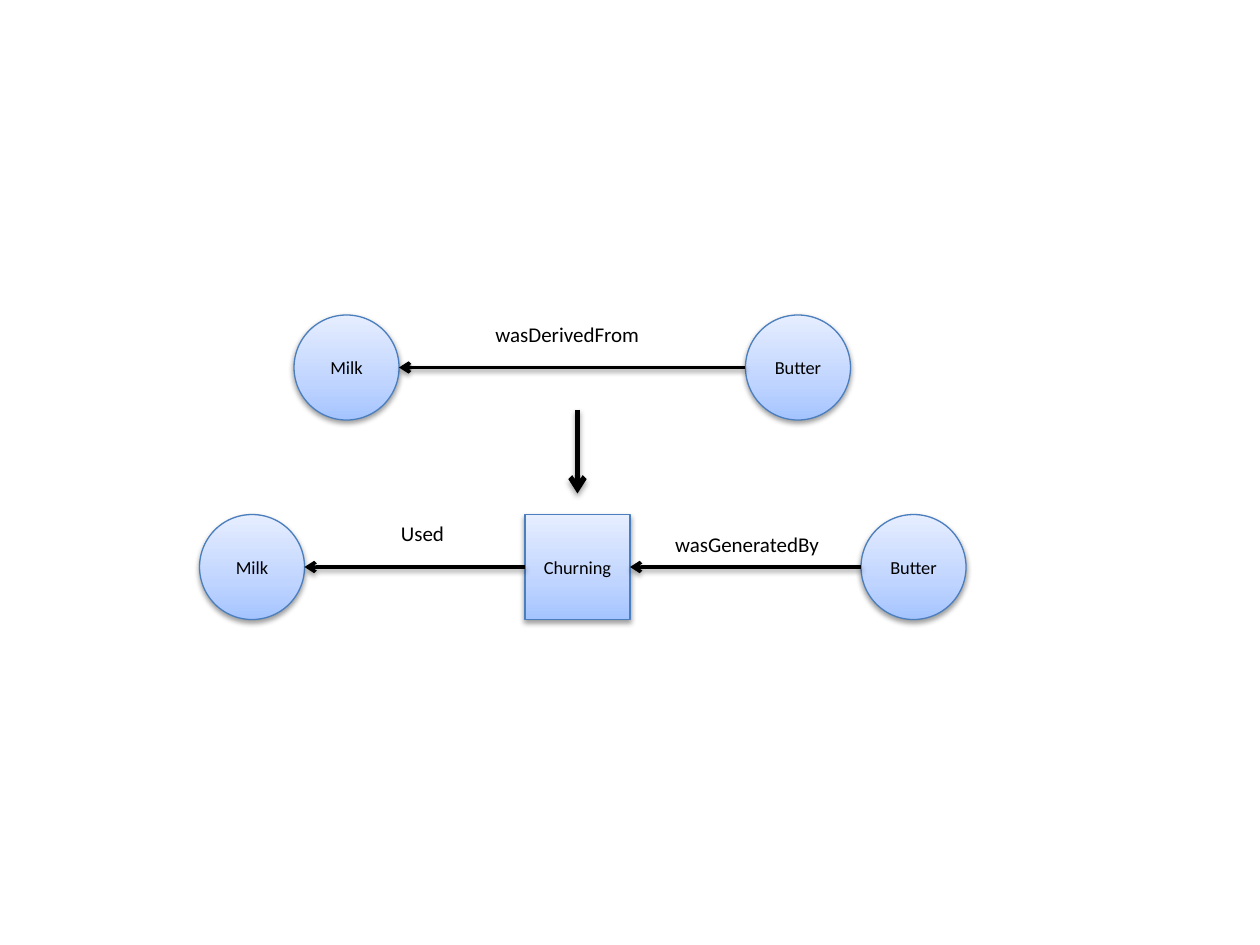
from copy import deepcopy

from lxml.etree import SubElement
from pptx import Presentation
from pptx.dml.color import RGBColor
from pptx.enum.shapes import MSO_CONNECTOR, MSO_SHAPE
from pptx.enum.text import MSO_ANCHOR, MSO_AUTO_SIZE, PP_ALIGN
from pptx.oxml.ns import qn
from pptx.util import Inches, Pt


def colour(value):
    return RGBColor.from_string(value)


class ProvenanceDiagram:
    """Draws nodes, labels and arrows on a grid of twelve cells to the inch."""

    ink, edge, font = "000000", "4B7EBC", "Calibri"
    gradient = [(0, "A4C4FF"), (0.35, "BFD4FF"), (1, "E6EEFF")]
    node_size, label_height = 10, 3.6

    def __init__(self, slide):
        self.shapes = slide.shapes

    def cells(self, *counts):
        return [Inches(count / 12) for count in counts]

    def shadow(self, element, alpha=38, distance=1.6):
        properties = element._element.spPr
        effects = SubElement(properties, qn("a:effectLst"))
        outer = SubElement(effects, qn("a:outerShdw"), blurRad=str(Pt(3.1)),
                           dist=str(Pt(distance)), dir="5400000", rotWithShape="0")
        tint = SubElement(outer, qn("a:srgbClr"), val=self.ink)
        SubElement(tint, qn("a:alpha"), val=str(alpha * 1000))

    def wording(self, frame, words, size, align):
        paragraph = frame.paragraphs[0]
        paragraph.alignment = align
        run = paragraph.add_run()
        run.text = words
        for name, value in {"name": self.font, "size": Pt(size)}.items():
            setattr(run.font, name, value)
        run.font.color.rgb = colour(self.ink)

    def node(self, words, column, row, outline=MSO_SHAPE.OVAL):
        node = self.shapes.add_shape(
            outline, *self.cells(column, row, self.node_size, self.node_size))
        node.fill.gradient()
        node.fill.gradient_angle = 90
        stop_list = node._element.spPr.find(".//" + qn("a:gsLst"))
        stop_list.append(deepcopy(stop_list[-1]))
        for stop, (position, tone) in zip(node.fill.gradient_stops, self.gradient):
            stop.position = position
            stop.color.rgb = colour(tone)
        node.line.color.rgb = colour(self.edge)
        node.line.width = Pt(0.75)
        self.shadow(node)
        node.text_frame.vertical_anchor = MSO_ANCHOR.MIDDLE
        self.wording(node.text_frame, words, 10.5, PP_ALIGN.CENTER)

    def label(self, words, column, row, width, align=PP_ALIGN.LEFT):
        label = self.shapes.add_textbox(
            *self.cells(column, row, width, self.label_height))
        layout = {"word_wrap": False, "auto_size": MSO_AUTO_SIZE.SHAPE_TO_FIT_TEXT}
        for name, value in layout.items():
            setattr(label.text_frame, name, value)
        self.wording(label.text_frame, words, 12, align)

    def arrow(self, start, end, weight=2, **shade):
        arrow = self.shapes.add_connector(
            MSO_CONNECTOR.STRAIGHT, *self.cells(*start, *end))
        arrow.line.color.rgb = colour(self.ink)
        arrow.line.width = Pt(weight)
        SubElement(arrow._element.spPr.find(qn("a:ln")), qn("a:tailEnd"), type="arrow")
        self.shadow(arrow, **shade)


deck = Presentation()
deck.slide_width, deck.slide_height = Inches(10), Inches(7.5)
diagram = ProvenanceDiagram(deck.slides.add_slide(deck.slide_layouts[6]))

derived_row, expanded_row = 30, 49
rows = {
    derived_row: [("Milk", 28, MSO_SHAPE.OVAL), ("Butter", 71, MSO_SHAPE.OVAL)],
    expanded_row: [("Milk", 19, MSO_SHAPE.OVAL),
                   ("Churning", 50, MSO_SHAPE.RECTANGLE),
                   ("Butter", 82, MSO_SHAPE.OVAL)],
}
for row, nodes in rows.items():
    middle = row + diagram.node_size / 2
    for words, column, outline in nodes:
        diagram.node(words, column, row, outline)
    for (_, target, _), (_, origin, _) in zip(nodes, nodes[1:]):
        diagram.arrow((origin, middle), (target + diagram.node_size, middle))

diagram.label("wasDerivedFrom", 46, derived_row, 16.2)
diagram.label("Used", 37, expanded_row, 6.6)
diagram.label("wasGeneratedBy", 63, expanded_row + 1, 16.3, PP_ALIGN.CENTER)
diagram.arrow((55, 39), (55, 47), weight=3, alpha=35, distance=1.8)

deck.save("out.pptx")
